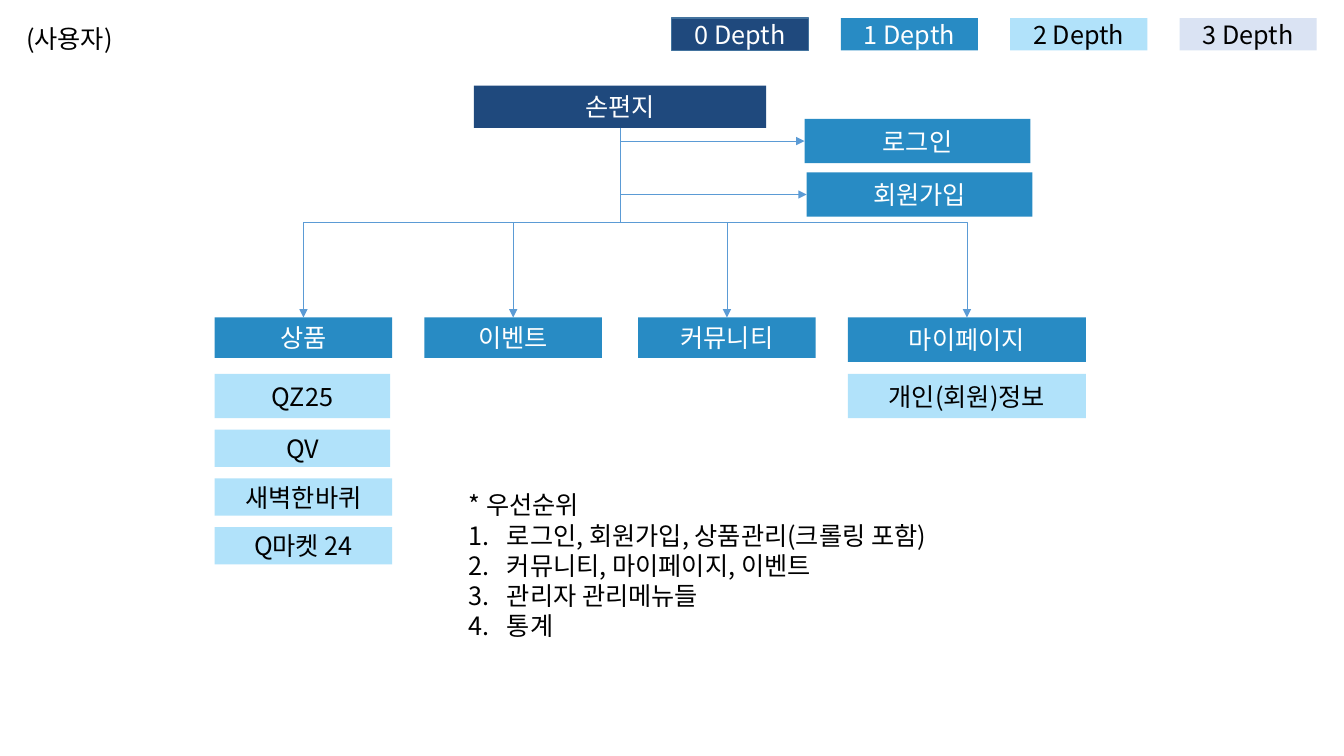
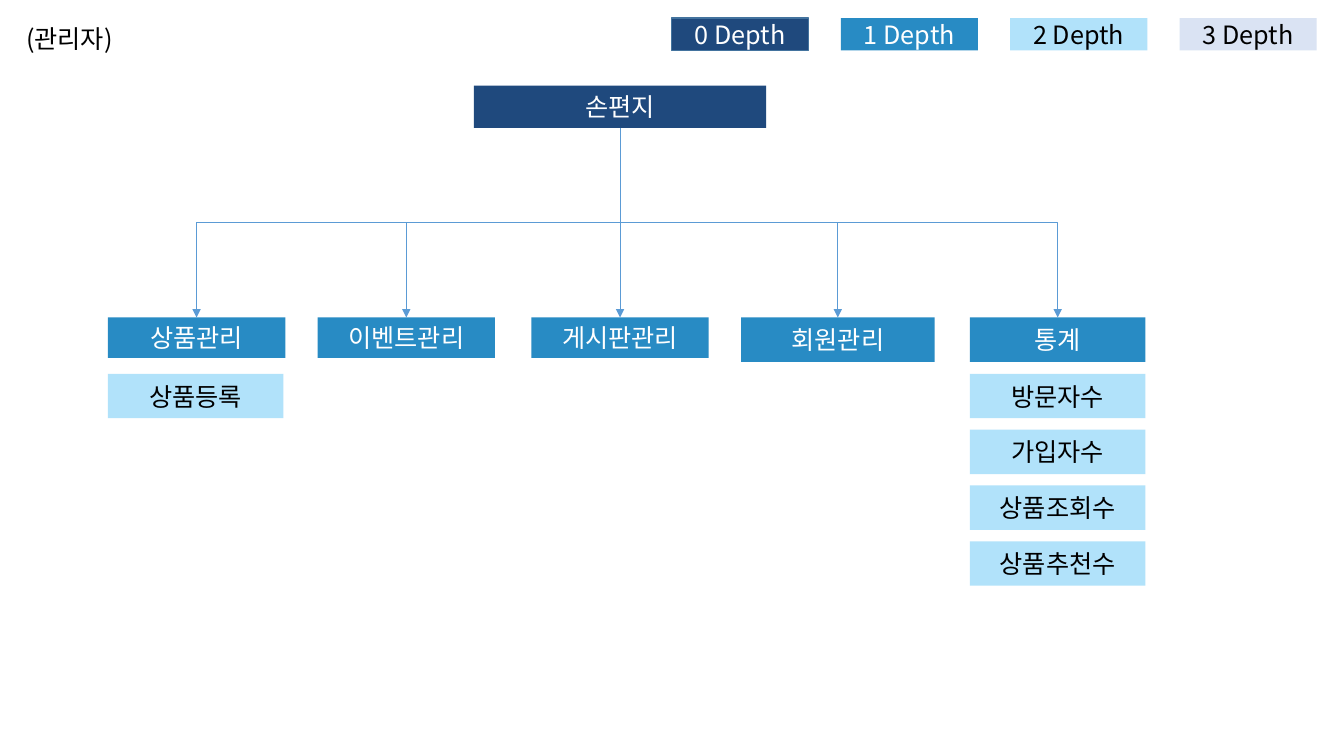
from dataclasses import dataclass

from lxml.etree import SubElement
from pptx import Presentation
from pptx.dml.color import RGBColor
from pptx.enum.shapes import MSO_CONNECTOR, MSO_SHAPE
from pptx.enum.text import MSO_ANCHOR, MSO_AUTO_SIZE, PP_ALIGN
from pptx.oxml.ns import qn
from pptx.shapes.autoshape import Shape
from pptx.shapes.connector import Connector
from pptx.slide import Slide
from pptx.text.text import _Paragraph
from pptx.util import Inches, Pt

COLORS = {
    "depth0": "1F497D",
    "depth1": "288BC4",
    "depth2": "B1E2FA",
    "depth3": "DAE3F3",
    "legend_border": "43739E",
    "link": "5B9BD5",
    "light_text": "FFFFFF",
    "dark_text": "000000",
}
FONT = "Noto Sans CJK KR"
FONT_SIZE = Pt(18)
MENU_TOP = 3.15
ITEM_TOP = 3.71
ITEM_GAP = 0.34 / 3
TOP, LEFT, BOTTOM = 0, 1, 2


@dataclass(frozen=True)
class Box:
    label: str
    left: float
    top: float
    width: float
    height: float
    depth: int


@dataclass(frozen=True)
class Item:
    label: str
    width: float = 1.74
    height: float = 0.44


@dataclass(frozen=True)
class Menu:
    label: str
    left: float
    width: float = 1.76
    height: float = 0.4
    items: tuple[Item, ...] = ()


@dataclass(frozen=True)
class SiteMap:
    audience: str
    menus: tuple[Menu, ...]
    side_pages: tuple[Box, ...] = ()
    priorities: tuple[str, ...] = ()


ROOT = Box("손편지", 4.7, 0.85, 2.9, 0.42, 0)
LEGEND = [Box(f"{depth} Depth", 6.66 + 1.68 * depth, 0.18, 1.36, 0.32, depth)
          for depth in range(4)]

USER_MAP = SiteMap(
    "(사용자)",
    menus=(
        Menu("상품", 2.13, items=(
            Item("QZ25"),
            Item("QV", height=0.37),
            Item("새벽한바퀴", 1.76, 0.37),
            Item("Q마켓 24", 1.76, 0.37),
        )),
        Menu("이벤트", 4.21),
        Menu("커뮤니티", 6.33),
        Menu("마이페이지", 8.41, 2.36, 0.44, (Item("개인(회원)정보", 2.36),)),
    ),
    side_pages=(
        Box("로그인", 7.98, 1.18, 2.24, 0.44, 1),
        Box("회원가입", 8, 1.71, 2.24, 0.44, 1),
    ),
    priorities=(
        "로그인, 회원가입, 상품관리(크롤링 포함)",
        "커뮤니티, 마이페이지, 이벤트",
        "관리자 관리메뉴들",
        "통계",
    ),
)
ADMIN_MAP = SiteMap(
    "(관리자)",
    menus=(
        Menu("상품관리", 1.07, items=(Item("상품등록"),)),
        Menu("이벤트관리", 3.15),
        Menu("게시판관리", 5.27),
        Menu("회원관리", 7.35, 1.92, 0.44),
        Menu("통계", 9.62, 1.74, 0.44, (
            Item("방문자수"),
            Item("가입자수"),
            Item("상품조회수"),
            Item("상품추천수"),
        )),
    ),
)


def color(key: str) -> RGBColor:
    return RGBColor.from_string(COLORS[key])


def add_text(paragraph: _Paragraph, text: str, color_key: str = "dark_text") -> None:
    run = paragraph.add_run()
    run.text = text
    run.font.name = FONT
    run.font.size = FONT_SIZE
    run.font.color.rgb = color(color_key)
    SubElement(run.font._element, qn("a:ea"), typeface=FONT)


def add_box(slide: Slide, box: Box) -> Shape:
    shape = slide.shapes.add_shape(
        MSO_SHAPE.RECTANGLE, Inches(box.left), Inches(box.top),
        Inches(box.width), Inches(box.height))
    shape.shadow.inherit = False
    shape.fill.solid()
    shape.fill.fore_color.rgb = color(f"depth{box.depth}")
    shape.line.fill.background()
    shape.text_frame.vertical_anchor = MSO_ANCHOR.MIDDLE
    paragraph = shape.text_frame.paragraphs[0]
    paragraph.alignment = PP_ALIGN.CENTER
    add_text(paragraph, box.label, "light_text" if box.depth < 2 else "dark_text")
    return shape


def add_text_box(slide: Slide, left: float, top: float, width: float,
                 height: float, text: str) -> Shape:
    text_box = slide.shapes.add_textbox(
        Inches(left), Inches(top), Inches(width), Inches(height))
    text_box.text_frame.word_wrap = True
    text_box.text_frame.auto_size = MSO_AUTO_SIZE.SHAPE_TO_FIT_TEXT
    add_text(text_box.text_frame.paragraphs[0], text)
    return text_box


def bend_downward(link: Connector, preset: str, start: tuple[int, int],
                  end: tuple[int, int]) -> None:
    """Turn an elbow so that it leaves its start vertically."""
    across, down = end[0] - start[0], end[1] - start[1]
    link.width, link.height = down, abs(across)
    link.left = (start[0] + end[0] - down) // 2
    link.top = (start[1] + end[1] - abs(across)) // 2
    properties = link._element.spPr
    properties.find(qn("a:prstGeom")).set("prst", preset)
    transform = properties.find(qn("a:xfrm"))
    transform.set("rot", "16200000" if across > 0 else "5400000")
    transform.set("flipH", "1" if across > 0 else "0")
    transform.set("flipV", "0")


def add_link(slide: Slide, root: Shape, target: Shape, side: int) -> None:
    start = (root.left + root.width // 2, root.top + root.height)
    if side == TOP:
        end, preset = (target.left + target.width // 2, target.top), "bentConnector3"
    else:
        end, preset = (target.left, target.top + target.height // 2), "bentConnector2"
    is_straight = abs(end[0] - start[0]) < Inches(0.01)
    kind = MSO_CONNECTOR.STRAIGHT if is_straight else MSO_CONNECTOR.ELBOW
    link = slide.shapes.add_connector(kind, *start, *end)
    link.begin_connect(root, BOTTOM)
    link.end_connect(target, side)
    if not is_straight:
        bend_downward(link, preset, start, end)
    link.line.color.rgb = color("link")
    link.line.width = Pt(0.5)
    SubElement(link.line._get_or_add_ln(), qn("a:tailEnd"), type="triangle")
    SubElement(link._element.spPr, qn("a:effectLst"))


def add_menu(slide: Slide, menu: Menu) -> Shape:
    heading = add_box(
        slide, Box(menu.label, menu.left, MENU_TOP, menu.width, menu.height, 1))
    top = ITEM_TOP
    for item in menu.items:
        add_box(slide, Box(item.label, menu.left, top, item.width, item.height, 2))
        top += item.height + ITEM_GAP
    return heading


def add_priorities(slide: Slide, priorities: tuple[str, ...]) -> None:
    notice = add_text_box(slide, 4.55, 4.81, 5.15, 1.62, "* 우선순위")
    for priority in priorities:
        paragraph = notice.text_frame.add_paragraph()
        add_text(paragraph, priority)
        properties = paragraph._p.get_or_add_pPr()
        properties.set("marL", str(Inches(0.38)))
        properties.set("indent", str(-Inches(0.38)))
        SubElement(properties, qn("a:buAutoNum"), type="arabicPeriod")


def add_legend(slide: Slide) -> None:
    for entry in LEGEND:
        swatch = add_box(slide, entry)
        if entry.depth == 0:
            swatch.line.color.rgb = color("legend_border")
            swatch.line.width = Pt(1)


def add_site_map(slide: Slide, site_map: SiteMap) -> None:
    add_text_box(slide, 0.16, 0.18, 1.11, 0.4, site_map.audience)
    add_legend(slide)
    root = add_box(slide, ROOT)
    for page in site_map.side_pages:
        add_link(slide, root, add_box(slide, page), LEFT)
    for menu in site_map.menus:
        add_link(slide, root, add_menu(slide, menu), TOP)
    if site_map.priorities:
        add_priorities(slide, site_map.priorities)


def main() -> None:
    presentation = Presentation()
    presentation.slide_width = Inches(13.33)
    presentation.slide_height = Inches(7.5)
    blank = presentation.slide_layouts[6]
    for site_map in (USER_MAP, ADMIN_MAP):
        add_site_map(presentation.slides.add_slide(blank), site_map)
    presentation.save("out.pptx")


if __name__ == "__main__":
    main()
